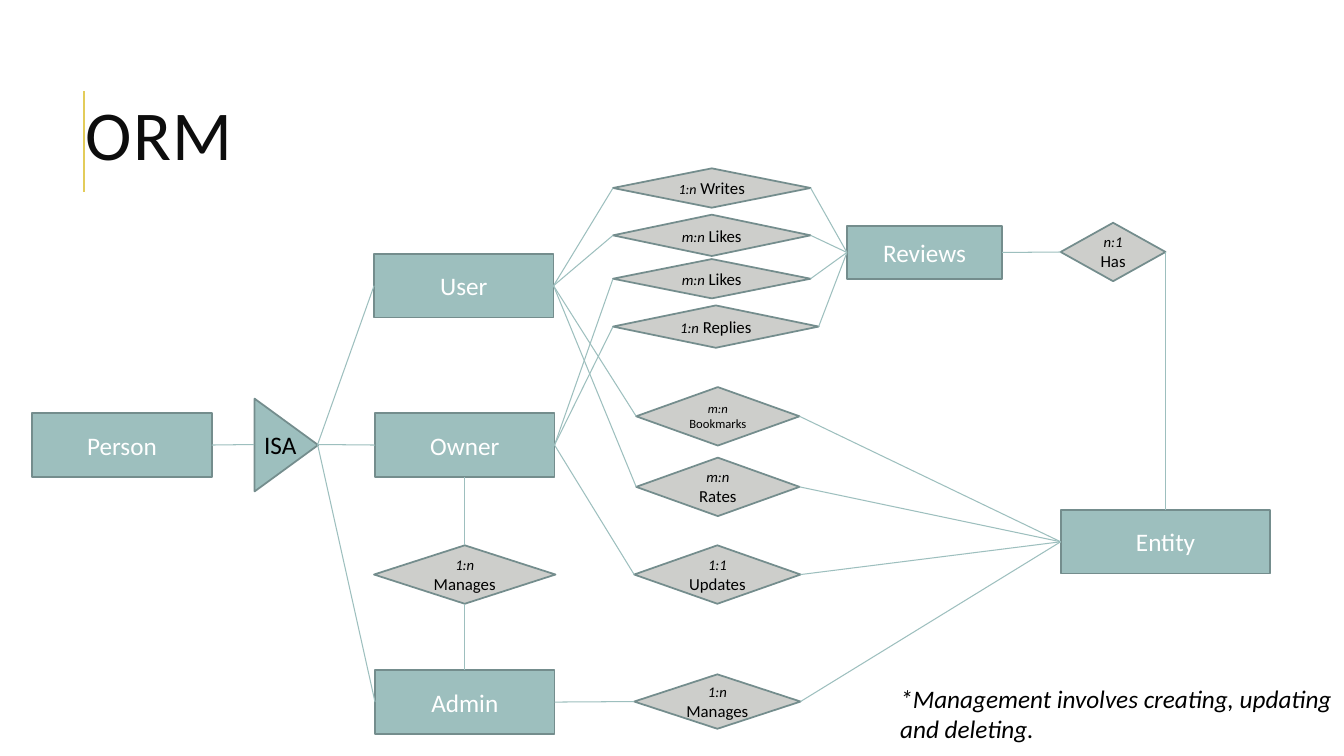
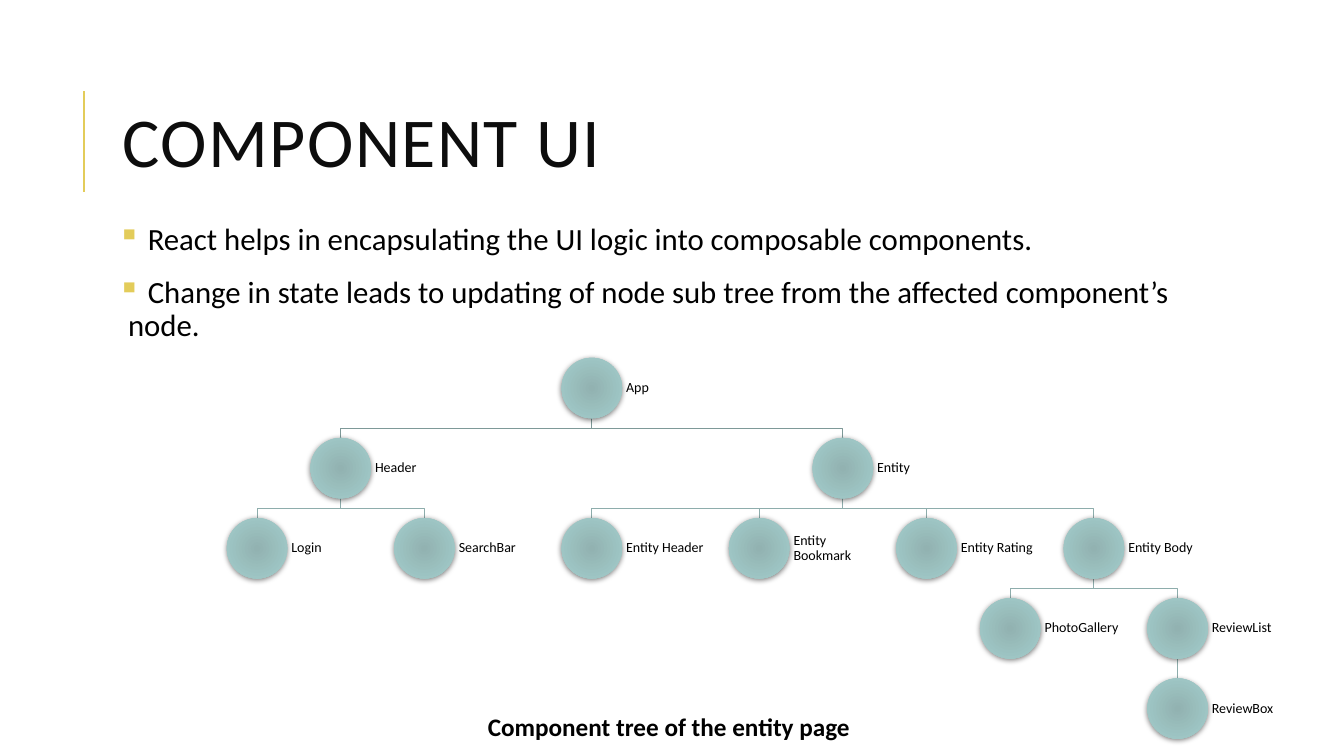
"""Build two slides: an entity-relationship diagram and a component tree."""
from dataclasses import dataclass
from typing import NamedTuple

from lxml import etree
from pptx import Presentation
from pptx.dml.color import RGBColor
from pptx.enum import shapes, text
from pptx.oxml import ns
from pptx.util import Inches, Pt

RIGHT_TO_LEFT = (3, 1, 3, 1)
TOP_DOWN = (2, 0, 2, 0)
RIGHT_THEN_DOWN = (3, 1, 3, 0)


@dataclass(frozen=True)
class Theme:
    """Hold the colours, font and type sizes of the deck."""
    font: str = "Calibri"
    accent: str = "E3CC5A"
    title: str = "0D0D0D"
    ink: str = "000000"
    white: str = "FFFFFF"
    entity: str = "9DBFBE"
    relation: str = "CDCECB"
    outline: str = "748D8D"
    node_centre: str = "92B2B1"
    node_edge: str = "A3CECC"
    trunk: str = "7E9998"
    branch: str = "8EADAC"
    title_size: float = 50
    body_size: float = 22
    text_size: float = 18
    label_size: float = 10


class Relation(NamedTuple):
    """Describe a relation between two entities and how it is joined."""
    source: str
    ratio: str
    verb: str
    target: str
    box: tuple
    stacked: bool = True
    sizes: tuple = (10.5, 12)
    sides: tuple = RIGHT_TO_LEFT


class Node(NamedTuple):
    """Place a component in the tree grid."""
    label: str
    column: int
    level: int
    parent: str = ""


THEME = Theme()

ENTITIES = {
    "User": (3.71, 2.52, 1.78, 0.63),
    "Owner": (3.72, 4.1, 1.78, 0.63),
    "Admin": (3.72, 6.65, 1.78, 0.63),
    "Person": (0.32, 4.1, 1.78, 0.63),
    "Reviews": (8.4, 2.24, 1.54, 0.53),
    "Entity": (10.52, 5.06, 2.08, 0.63),
}

RELATIONS = [
    Relation("User", "1:n", "Writes", "Reviews", (6.08, 1.67, 1.96, 0.39), False, (10, 12)),
    Relation("User", "m:n", "Likes", "Reviews", (6.08, 2.13, 1.96, 0.41), False),
    Relation("Owner", "m:n", "Likes", "Reviews", (6.08, 2.57, 1.96, 0.39), False),
    Relation("Owner", "1:n", "Replies", "Reviews", (6.08, 3.03, 2.04, 0.42), False),
    Relation("User", "m:n", "Bookmarks", "Entity", (6.31, 3.84, 1.62, 0.58), sizes=(9, 9)),
    Relation("User", "m:n", "Rates", "Entity", (6.31, 4.54, 1.62, 0.58)),
    Relation("Owner", "1:1", "Updates", "Entity", (6.29, 5.41, 1.65, 0.58)),
    Relation("Admin", "1:n", "Manages", "Entity", (6.29, 6.69, 1.65, 0.54)),
    Relation("Owner", "1:n", "Manages", "Admin", (3.71, 5.41, 1.8, 0.58), sides=TOP_DOWN),
    Relation("Reviews", "n:1", "Has", "Entity", (10.52, 2.21, 1.04, 0.58),
             sides=RIGHT_THEN_DOWN),
]

ISA_BASE = (2.52, 4.41)
ISA_TIP = (3.15, 4.41)

BULLETS = [
    " React helps in encapsulating the UI logic into composable components.",
    " Change in state leads to updating of node sub tree from the affected component’s node.",
]

COMPONENTS = [
    Node("App", 4, 0),
    Node("Header", 1, 1, "App"),
    Node("Entity", 7, 1, "App"),
    Node("Login", 0, 2, "Header"),
    Node("SearchBar", 2, 2, "Header"),
    Node("Entity Header", 4, 2, "Entity"),
    Node("Entity Bookmark", 6, 2, "Entity"),
    Node("Entity Rating", 8, 2, "Entity"),
    Node("Entity Body", 10, 2, "Entity"),
    Node("PhotoGallery", 9, 3, "Entity Body"),
    Node("ReviewList", 11, 3, "Entity Body"),
    Node("ReviewBox", 11, 4, "ReviewList"),
]

TREE_LEFT, TREE_TOP, LAST_ROW_TOP = 2.55, 3.55, 6.73
COLUMN_STEP = 0.83
ROW_STEP = (LAST_ROW_TOP - TREE_TOP) / 4
NODE_SIZE = 0.6


def rgb(colour):
    """Turn a hex string into a colour."""
    return RGBColor.from_string(colour)


def inches(values):
    """Convert a sequence of numbers to lengths."""
    return [Inches(value) for value in values]


def add_xml(parent, tag, **attributes):
    """Append a drawing element to parent and return it."""
    return etree.SubElement(parent, ns.qn(tag), attributes)


def style_run(run, size, colour=THEME.ink, bold=False, italic=False):
    """Set the font of a run."""
    run.font.name = THEME.font
    run.font.size = Pt(size)
    run.font.color.rgb = rgb(colour)
    run.font.bold = bold
    run.font.italic = italic


def add_text(slide, box, content, size, colour=THEME.ink, wrap=True, middle=False,
             margin=None, spacing=None, **emphasis):
    """Add a text box, one paragraph per line of content."""
    frame = slide.shapes.add_textbox(*inches(box)).text_frame
    frame.word_wrap = wrap
    frame.vertical_anchor = text.MSO_ANCHOR.MIDDLE if middle else text.MSO_ANCHOR.TOP
    if margin is not None:
        set_margins(frame, margin)
    frame.text = content
    for paragraph in frame.paragraphs:
        paragraph.line_spacing = spacing
        for run in paragraph.runs:
            style_run(run, size, colour, **emphasis)
    return frame


def set_margins(frame, margin):
    """Give a text frame the same margin on every side."""
    frame.margin_left = frame.margin_right = Inches(margin)
    frame.margin_top = frame.margin_bottom = Inches(margin)


def add_line(slide, start=(0, 0), end=(0, 0), colour=THEME.entity, width=0.75):
    """Add a straight line between two points."""
    line = slide.shapes.add_connector(
        shapes.MSO_CONNECTOR.STRAIGHT, *inches(start), *inches(end))
    line.line.color.rgb = rgb(colour)
    line.line.width = Pt(width)
    add_xml(line._element.spPr, "a:effectLst")
    return line


def join(slide, first, first_side, second, second_side):
    """Join the sides of two shapes with a line."""
    line = add_line(slide)
    line.begin_connect(first, first_side)
    line.end_connect(second, second_side)


def add_title(slide, title, box):
    """Add the accent rule and the slide title."""
    add_line(slide, (0.83, 1.9), (0.83, 0.9), THEME.accent, 1.5)
    frame = add_text(slide, box, title, THEME.title_size, THEME.title,
                     middle=True, spacing=0.8)
    frame.paragraphs[0].runs[0]._r.get_or_add_rPr().set("spc", "100")


def add_outlined(slide, preset, box, fill):
    """Add a filled, outlined preset shape without a shadow."""
    shape = slide.shapes.add_shape(preset, *inches(box))
    shape.shadow.inherit = False
    shape.fill.solid()
    shape.fill.fore_color.rgb = rgb(fill)
    shape.line.color.rgb = rgb(THEME.outline)
    shape.line.width = Pt(1.25)
    shape.text_frame.vertical_anchor = text.MSO_ANCHOR.MIDDLE
    return shape


def add_entity(slide, name, box):
    """Add an entity rectangle."""
    entity = add_outlined(slide, shapes.MSO_SHAPE.RECTANGLE, box, THEME.entity)
    paragraph = entity.text_frame.paragraphs[0]
    paragraph.text = name
    paragraph.alignment = text.PP_ALIGN.CENTER
    style_run(paragraph.runs[0], THEME.text_size, THEME.white)
    return entity


def add_relation(slide, relation, entities):
    """Add a relation diamond and join it to its two entities."""
    diamond = add_outlined(slide, shapes.MSO_SHAPE.DIAMOND, relation.box, THEME.relation)
    frame = diamond.text_frame
    set_margins(frame, 0)
    frame.text = relation.ratio
    ratio = frame.paragraphs[0].runs[0]
    holder = frame.add_paragraph() if relation.stacked else frame.paragraphs[0]
    verb = holder.add_run()
    verb.text = relation.verb if relation.stacked else f" {relation.verb}"
    style_run(ratio, relation.sizes[0], italic=True)
    style_run(verb, relation.sizes[1])
    for paragraph in frame.paragraphs:
        paragraph.alignment = text.PP_ALIGN.CENTER
    leave, enter, leave_diamond, arrive = relation.sides
    join(slide, entities[relation.source], leave, diamond, enter)
    join(slide, diamond, leave_diamond, entities[relation.target], arrive)


def add_inheritance(slide, entities):
    """Add the ISA triangle between Person and its subtypes."""
    triangle = add_outlined(slide, shapes.MSO_SHAPE.ISOSCELES_TRIANGLE,
                            (2.38, 4.1, 0.92, 0.63), THEME.entity)
    triangle.rotation = 90
    add_text(slide, (2.52, 4.21, 0.52, 0.4), "ISA", THEME.text_size, wrap=False)
    add_line(slide, end=ISA_BASE).begin_connect(entities["Person"], 3)
    for subtype in ("User", "Owner", "Admin"):
        add_line(slide, ISA_TIP).end_connect(entities[subtype], 1)


def add_bullets(slide, box, lines):
    """Add the bulleted body text."""
    frame = add_text(slide, box, "\n".join(lines), THEME.body_size, margin=0.05, spacing=0.9)
    for paragraph in frame.paragraphs:
        paragraph.space_before = Pt(12)
        paragraph.space_after = Pt(2)
        properties = paragraph._p.get_or_add_pPr()
        properties.set("marL", str(Inches(0.1)))
        properties.set("indent", str(Inches(-0.1)))
        add_xml(add_xml(properties, "a:buClr"), "a:srgbClr", val=THEME.accent)
        add_xml(properties, "a:buChar", char="▪")


def node_place(node):
    """Return the centre x and top y of a tree node."""
    return TREE_LEFT + node.column * COLUMN_STEP, TREE_TOP + node.level * ROW_STEP


def add_branch(slide, parent, child):
    """Add the line that leads from a parent node to its child."""
    (start_x, parent_top), (end_x, end_y) = node_place(parent), node_place(child)
    start_y = parent_top + NODE_SIZE
    colour = THEME.branch if parent.level else THEME.trunk
    if start_x == end_x:
        add_line(slide, (start_x, start_y), (end_x, end_y), colour)
        return
    bend_y = (start_y + end_y) / 2
    builder = slide.shapes.build_freeform(Inches(start_x), Inches(start_y))
    corners = [(start_x, bend_y), (end_x, bend_y), (end_x, end_y)]
    builder.add_line_segments([inches(corner) for corner in corners], close=False)
    branch = builder.convert_to_shape()
    branch.shadow.inherit = False
    branch.fill.background()
    branch.line.color.rgb = rgb(colour)
    branch.line.width = Pt(0.75)


def add_node(slide, node):
    """Add a shaded tree node with its label."""
    centre, top = node_place(node)
    radius = NODE_SIZE / 2
    circle = slide.shapes.add_shape(
        shapes.MSO_SHAPE.OVAL, *inches((centre - radius, top, NODE_SIZE, NODE_SIZE)))
    circle.line.fill.background()
    circle.fill.gradient()
    for stop, colour in zip(circle.fill.gradient_stops, (THEME.node_centre, THEME.node_edge)):
        stop.color.rgb = rgb(colour)
    gradient = circle._element.spPr.find(ns.qn("a:gradFill"))
    gradient.remove(gradient.find(ns.qn("a:lin")))
    radial = add_xml(gradient, "a:path", path="circle")
    add_xml(radial, "a:fillToRect", l="50000", t="50000", r="50000", b="50000")
    circle.shadow.inherit = False
    effects = circle._element.spPr.find(ns.qn("a:effectLst"))
    shadow = add_xml(effects, "a:outerShdw", blurRad=str(Pt(4)), dist=str(Pt(1)),
                     dir="5400000", rotWithShape="0")
    add_xml(add_xml(shadow, "a:srgbClr", val=THEME.ink), "a:alpha", val="50000")
    add_text(slide, (centre + radius, top, 0.91, NODE_SIZE), node.label, THEME.label_size,
             middle=True, margin=0.04, spacing=0.9)


def build_orm(slide):
    """Fill the entity-relationship slide."""
    add_title(slide, "ORM", (0.75, 0.6, 11.08, 1.59))
    entities = {name: add_entity(slide, name, box) for name, box in ENTITIES.items()}
    add_inheritance(slide, entities)
    for relation in RELATIONS:
        add_relation(slide, relation, entities)
    add_text(slide, (8.83, 6.73, 4.51, 0.71),
             "*Management involves creating, updating and deleting.",
             THEME.text_size, italic=True)


def build_component_tree(slide):
    """Fill the component tree slide."""
    add_title(slide, "COMPONENT UI", (1.12, 0.64, 10.63, 1.64))
    add_bullets(slide, (1.12, 2.17, 10.76, 5.42), BULLETS)
    nodes = {node.label: node for node in COMPONENTS}
    for node in COMPONENTS[1:]:
        add_branch(slide, nodes[node.parent], node)
    for node in COMPONENTS:
        add_node(slide, node)
    add_text(slide, (4.74, 7.01, 4.3, 0.4), "Component tree of the entity page",
             THEME.text_size, bold=True)


def main():
    """Build and save the deck."""
    deck = Presentation()
    deck.slide_width, deck.slide_height = inches((13.33, 7.5))
    for build in (build_orm, build_component_tree):
        build(deck.slides.add_slide(deck.slide_layouts[6]))
    deck.save("out.pptx")


if __name__ == "__main__":
    main()
